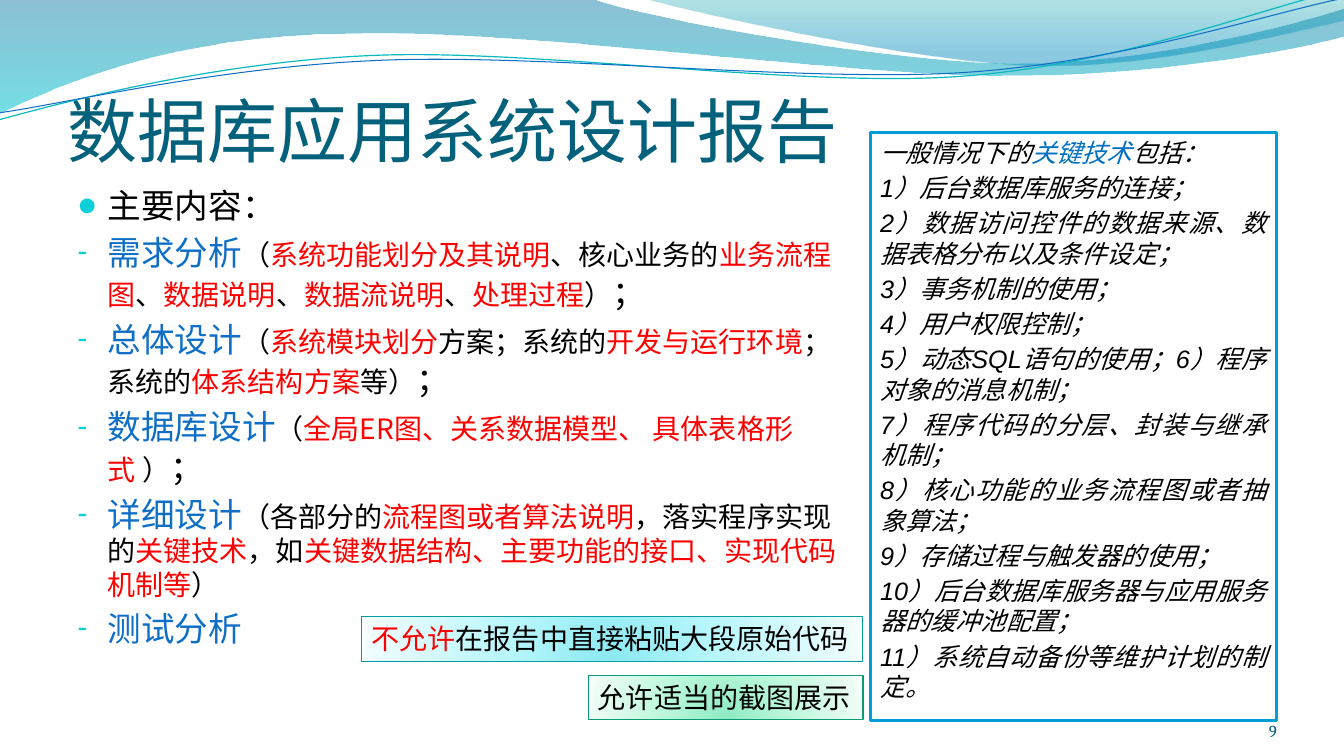
from lxml import etree
from pptx import Presentation
from pptx.dml.color import RGBColor
from pptx.enum.shapes import MSO_SHAPE
from pptx.enum.text import MSO_ANCHOR, MSO_AUTO_SIZE, PP_ALIGN
from pptx.oxml.ns import qn
from pptx.util import Cm, Pt

RECT = MSO_SHAPE.RECTANGLE
TOP, BOTTOM = MSO_ANCHOR.TOP, MSO_ANCHOR.BOTTOM
LEFT, RIGHT, JUST = PP_ALIGN.LEFT, PP_ALIGN.RIGHT, PP_ALIGN.JUSTIFY
FIXED = MSO_AUTO_SIZE.NONE
EAST = "Calibri"
HUES = {"black": "000000", "red": "FF0000", "blue": "0F6FC6", "key": "0070C0",
        "title": "04617B", "page": "045C75", "dot": "0BD0D9", "white": "FFFFFF",
        "frame": "009DD9", "teal": "0AB8BF", "aqua": "069CA3", "green": "0A9B74"}

# Wave outlines in cm: pairs are corners, sixes are Bezier curves
BANDS = [
    ([(0, -0.03), (14.91, -0.03), (16.1, 0.43, 22.48, 1.6, 25.68, 1.6),
      (28.91, 1.6, 32.46, 0.66, 33.86, 0.23), (33.91, 0.91),
      (33.3, 1.12, 29.46, 1.93, 25.25, 1.91), (21.06, 1.91, 12.93, 0.71, 8.71, 0.86),
      (4.37, 0.89, 1.55, 2.11, -0.03, 2.87)],
     [(0, "0074A1", 45), (100, "00C6CF", 55)]),
    ([(16.23, -0.03), (17.25, 0.28, 23.09, 1.57, 26.04, 1.65),
      (28.98, 1.75, 32.56, 0.81, 33.86, 0.53), (33.86, 0)],
     [(0, "00A1A9", 30), (80, "008BBF", 45)])]
LINES = [
    ([(-0.03, 3.02), (1.63, 2.57, 5.36, 1.57, 9.37, 1.4),
      (13.39, 1.22, 20.07, 2.21, 24.13, 1.93), (28.19, 1.65, 31.8, 0.2, 33.81, -0.25)],
     "teal", 0.85),
    ([(0, 2.84), (1.6, 2.62, 5.54, 1.68, 9.6, 1.52),
      (13.64, 1.35, 20.22, 2.08, 24.26, 1.83), (28.32, 1.57, 31.88, 0.36, 33.88, -0.05)],
     "blue", 0.75)]

# Head, then pieces in turn black and red, then closing mark
PARTS = [
    ("需求分析", ["（", "系统功能划分及其说明", "、核心业务的", "业务流程图", "、", "数据说明",
              "、", "数据流说明", "、", "处理过程", "）"], "；"),
    ("总体设计", ["（", "系统模块划分", "方案；系统的", "开发与运行环境", "；系统的",
              "体系结构方案", "等）"], "；"),
    ("数据库设计", ["（", "全局ER图、关系数据模型、 具体表格形式 ", "）"], "；"),
    ("详细设计", ["（各部分的", "流程图或者算法说明", "，落实程序实现的", "关键技术", "，如",
              "关键数据结构、主要功能的接口、实现代码机制等", "）"], ""),
    ("测试分析", [], "")]
NOTES = ["1）后台数据库服务的连接；", "2）数据访问控件的数据来源、数据表格分布以及条件设定；",
         "3）事务机制的使用；", "4）用户权限控制；",
         "5）动态SQL语句的使用；6）程序对象的消息机制；", "7）程序代码的分层、封装与继承机制；",
         "8）核心功能的业务流程图或者抽象算法；", "9）存储过程与触发器的使用；",
         "10）后台数据库服务器与应用服务器的缓冲池配置；", "11）系统自动备份等维护计划的制定。"]


def rgb(name):
    return RGBColor.from_string(HUES[name])


def sub(node, tag, **attrs):
    return etree.SubElement(node, qn("a:" + tag), {k: str(v) for k, v in attrs.items()})


def add_run(para, text, size, hue, font, slant=None):
    run = para.add_run()
    run.text = text
    run.font.size, run.font.italic = Pt(size), slant
    run.font.color.rgb = rgb(hue)
    run.font.name = font
    sub(run.font._element, "ea", typeface=EAST)


def next_para(frame, first):
    return frame.paragraphs[0] if first else frame.add_paragraph()


def place(shape, box):
    shape.left, shape.top, shape.width, shape.height = [Cm(n) for n in box]


def pad(frame, top=0):
    frame.margin_left = frame.margin_right = frame.margin_bottom = 0
    frame.margin_top = Cm(top)


def shade(shape, stops, round_off=False):
    """Gradient with opacity: from top to bottom, or round."""
    shape.fill.gradient()
    grad = shape._element.spPr.find(qn("a:gradFill"))
    for kid in list(grad):
        grad.remove(kid)
    row = sub(grad, "gsLst")
    for pos, hue, alpha in stops:
        tone = sub(sub(row, "gs", pos=pos * 1000), "srgbClr", val=hue)
        if alpha < 100:
            sub(tone, "alpha", val=alpha * 1000)
    if round_off:
        ring = sub(grad, "path", path="circle")
        sub(ring, "fillToRect", l=50000, t=130000, r=50000, b=-30000)
    else:
        sub(grad, "lin", ang=5400000, scaled=0)


def add_wave(slide, parts, close):
    """Join the end points, then bend the segments that are curves."""
    spots = [(Cm(part[-2]), Cm(part[-1])) for part in parts]
    pen = slide.shapes.build_freeform(*spots[0])
    pen.add_line_segments(spots[1:], close=close)
    wave = pen.convert_to_shape()
    wave.shadow.inherit = False
    legs = list(wave._element.iter(qn("a:lnTo")))
    for leg, part in zip(legs, parts[1:]):
        if len(part) == 6:
            leg.tag = qn("a:cubicBezTo")
            for kid in list(leg):
                leg.remove(kid)
            for x, y in zip(part[::2], part[1::2]):
                sub(leg, "pt", x=Cm(x) - wave.left, y=Cm(y) - wave.top)
    return wave


def add_waves(slide):
    for parts, stops in BANDS:
        band = add_wave(slide, parts, True)
        shade(band, stops)
        band.line.fill.background()
    for parts, hue, width in LINES:
        line = add_wave(slide, parts, False)
        line.fill.background()
        line.line.color.rgb, line.line.width = rgb(hue), Pt(width)


def add_title(slide, box):
    title = slide.shapes.title
    place(title, box)
    frame = title.text_frame
    frame.auto_size, frame.vertical_anchor = FIXED, BOTTOM
    pad(frame, 0.13)
    para = frame.paragraphs[0]
    para.alignment = LEFT
    add_run(para, "数据库应用系统设计报告", 50, "title", "Calibri")


def add_mark(para, char):
    props = para._p.get_or_add_pPr()
    props.set("marL", str(Cm(0.76)))
    props.set("indent", str(-Cm(0.76)))
    sub(sub(props, "buClr"), "srgbClr", val=HUES["dot"])
    sub(props, "buSzPct", val=95000)
    sub(props, "buFont", typeface="Calibri")
    sub(props, "buChar", char=char)


def add_list(slide, box):
    body = slide.placeholders[1]
    place(body, box)
    frame = body.text_frame
    frame.auto_size, frame.vertical_anchor = FIXED, TOP
    font = "Noto Sans CJK SC"
    para = next_para(frame, True)
    add_mark(para, "●")
    add_run(para, "主要内容：", 24, "black", font)
    for head, bits, tail in PARTS:
        para = next_para(frame, False)
        add_mark(para, "-")
        add_run(para, head, 24, "blue", font)
        for i, bit in enumerate(bits):
            add_run(para, bit, 20, ("black", "red")[i % 2], font)
        if tail:
            add_run(para, tail, 24, "black", font)


def add_page(slide, box):
    note = slide.shapes.add_textbox(*[Cm(n) for n in box])
    frame = note.text_frame
    frame.word_wrap, frame.vertical_anchor = True, BOTTOM
    pad(frame)
    frame.paragraphs[0].alignment = RIGHT
    add_run(frame.paragraphs[0], "9", 12, "page", "Cambria")


def add_rect(slide, box, hue, width):
    rect = slide.shapes.add_shape(RECT, *[Cm(n) for n in box])
    rect.shadow.inherit = False
    rect.line.color.rgb, rect.line.width = rgb(hue), Pt(width)
    rect.text_frame.vertical_anchor = TOP
    return rect


def add_panel(slide, box):
    panel = add_rect(slide, box, "frame", 2)
    panel.fill.solid()
    panel.fill.fore_color.rgb = rgb("white")
    frame = panel.text_frame
    frame.word_wrap = True
    intro = [("一般情况下的", "black"), ("关键技术", "key"), ("包括：", "black")]
    for i, runs in enumerate([intro] + [[(note, "black")] for note in NOTES]):
        para = next_para(frame, i == 0)
        para.alignment, para.space_before = JUST, Pt(3.6)
        for text, hue in runs:
            add_run(para, text, 18, hue, "Arial", True)


def add_chip(slide, box, runs, tones, hue):
    chip = add_rect(slide, box, hue, 0.75)
    shade(chip, [(p, t, 100) for p, t in zip((0, 43, 93, 100), tones)], True)
    chip.text_frame.word_wrap = False
    para = chip.text_frame.paragraphs[0]
    para.alignment = LEFT
    for text, tint in runs:
        add_run(para, text, 20, tint, "Cambria")


def main():
    deck = Presentation()
    deck.slide_width, deck.slide_height = Cm(33.87), Cm(19.05)
    slide = deck.slides.add_slide(deck.slide_layouts[1])
    add_waves(slide)
    add_title(slide, (1.7, 1.96, 30.48, 2.36))
    add_list(slide, (1.7, 4.52, 20.04, 13.06))
    add_page(slide, (29.36, 17.65, 2.82, 1.02))
    add_panel(slide, (21.93, 3.33, 10.24, 14.83))
    add_chip(slide, (9.12, 15.54, 12.62, 1.12),
             [("不允许", "red"), ("在报告中直接粘贴大段原始代码", "black")],
             ("8BE9F1", "B9F7FD", "EAFCFE", "F8FEFF"), "aqua")
    add_chip(slide, (14.82, 17.02, 6.93, 1.12), [("允许适当的截图展示", "black")],
             ("8DEAC2", "BAF8DB", "EAFCF3", "F7FFFB"), "green")
    deck.save("out.pptx")


if __name__ == "__main__":
    main()
